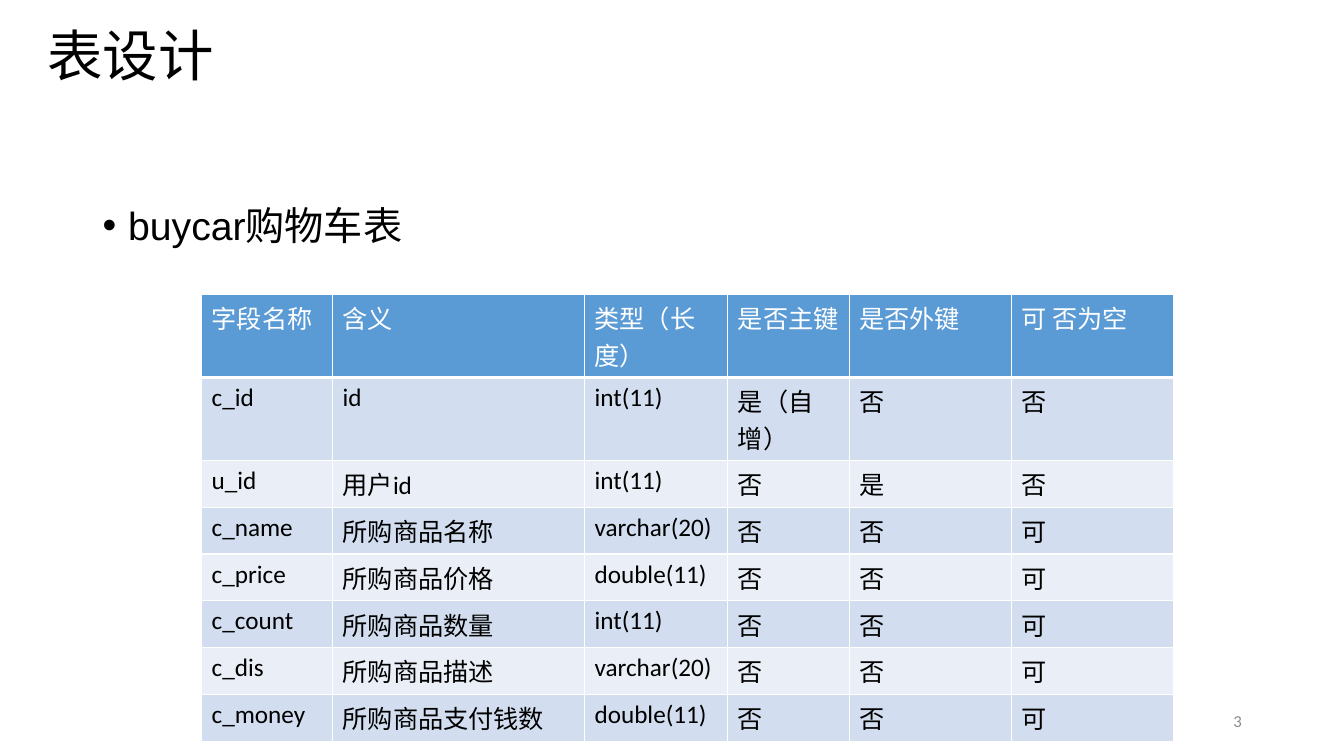
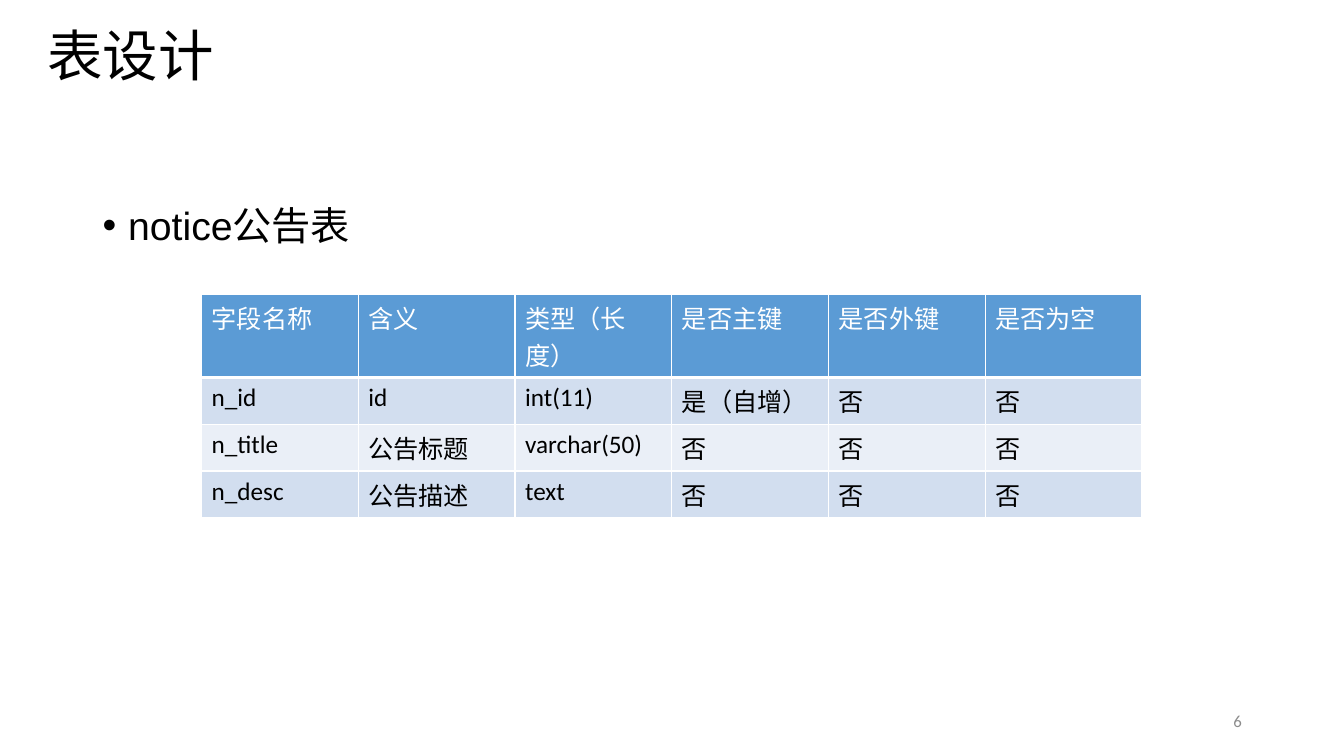
from lxml import etree
from pptx import Presentation
from pptx.dml.color import RGBColor
from pptx.enum.text import MSO_ANCHOR, PP_ALIGN
from pptx.oxml.ns import qn
from pptx.util import Cm, Pt

MIDDLE, TOP = MSO_ANCHOR.MIDDLE, MSO_ANCHOR.TOP
LEFT, RIGHT = PP_ALIGN.LEFT, PP_ALIGN.RIGHT

WHITE, BLACK, GREY = "FFFFFF", "000000", "8C8C8C"
HEADER_BLUE = "5B9BD5"
BANDS = ("D2DEEF", "EAEFF7")
BLANK_LAYOUT = 6
INDENT = Cm(0.64)

TITLE = {
    "box": (0.94, 0.71, 29.21, 1.52),
    "frame": {"word_wrap": True, "vertical_anchor": MIDDLE},
    "paragraph": {"alignment": LEFT, "line_spacing": 0.9},
    "font": {"name": "Calibri", "size": Pt(39.6)},
    "colour": BLACK,
}
CAPTION = {
    "box": (2.34, 5.08, 29.21, 12.09),
    "frame": {"word_wrap": True, "vertical_anchor": TOP},
    "paragraph": {"alignment": LEFT, "line_spacing": 0.9, "space_before": Pt(10)},
    "font": {"name": "Arial", "size": Pt(28)},
    "colour": BLACK,
}
PAGE_NUMBER = {
    "box": (23.93, 17.65, 7.62, 1.02),
    "frame": {"word_wrap": True, "vertical_anchor": MIDDLE},
    "paragraph": {"alignment": RIGHT},
    "font": {"name": "Calibri", "size": Pt(12)},
    "colour": GREY,
}
CELL_FONT = {"name": "Calibri", "size": Pt(18), "bold": False}

HEADINGS = ["字段名称", "含义", "类型（长度）", "是否主键", "是否外键"]
TABLE_LEFT, TABLE_TOP = 5.08, 7.42
ONE_LINE, TWO_LINES = 1.18, 2.09

DESIGNS = [
    {
        "page": "3",
        "caption": "buycar购物车表",
        "widths": [3.3, 6.35, 3.61, 3.06, 4.09, 4.08],
        "heights": [TWO_LINES] * 2 + [ONE_LINE] * 6,
        "rows": [
            HEADINGS + ["可 否为空"],
            ["c_id", "id", "int(11)", "是（自增）", "否", "否"],
            ["u_id", "用户id", "int(11)", "否", "是", "否"],
            ["c_name", "所购商品名称", "varchar(20)", "否", "否", "可"],
            ["c_price", "所购商品价格", "double(11)", "否", "否", "可"],
            ["c_count", "所购商品数量", "int(11)", "否", "否", "可"],
            ["c_dis", "所购商品描述", "varchar(20)", "否", "否", "可"],
            ["c_money", "所购商品支付钱数", "double(11)", "否", "否", "可"],
        ],
    },
    {
        "page": "6",
        "caption": "notice公告表",
        "widths": [3.95] * 6,
        "heights": [TWO_LINES] + [ONE_LINE] * 3,
        "rows": [
            HEADINGS + ["是否为空"],
            ["n_id", "id", "int(11)", "是（自增）", "否", "否"],
            ["n_title", "公告标题", "varchar(50)", "否", "否", "否"],
            ["n_desc", "公告描述", "text", "否", "否", "否"],
        ],
    },
]


def rgb(value):
    """Turn a hex string into a colour."""
    return RGBColor.from_string(value)


def apply_format(target, values):
    """Set each attribute named in values on target."""
    for name, value in values.items():
        setattr(target, name, value)


def write(paragraph, text, font, colour):
    """Put one formatted run into a paragraph."""
    run = paragraph.add_run()
    run.text = text
    apply_format(run.font, font)
    run.font.color.rgb = rgb(colour)


def add_text(slide, text, style):
    """Add a one-paragraph text box in a style and return the paragraph."""
    frame = slide.shapes.add_textbox(*map(Cm, style["box"])).text_frame
    apply_format(frame, style["frame"])
    paragraph = frame.paragraphs[0]
    apply_format(paragraph, style["paragraph"])
    write(paragraph, text, style["font"], style["colour"])
    return paragraph


def add_bullet(paragraph):
    """Give a paragraph a round bullet with a hanging indent."""
    properties = paragraph._p.get_or_add_pPr()
    properties.set("marL", str(INDENT))
    properties.set("indent", str(-INDENT))
    etree.SubElement(properties, qn("a:buFont"), typeface="Arial")
    etree.SubElement(properties, qn("a:buChar"), char="•")


def add_borders(cell, bottom):
    """Draw white cell borders, 1 pt wide except for the bottom one."""
    properties = cell._tc.get_or_add_tcPr()
    for side, width in {"lnL": 1, "lnR": 1, "lnT": 1, "lnB": bottom}.items():
        line = etree.SubElement(properties, qn("a:" + side), w=str(Pt(width)))
        fill = etree.SubElement(line, qn("a:solidFill"))
        etree.SubElement(fill, qn("a:srgbClr"), val=WHITE)


def add_field_table(slide, rows, widths, heights):
    """Add the field table with a blue header and banded rows."""
    table = slide.shapes.add_table(
        len(rows), len(widths), Cm(TABLE_LEFT), Cm(TABLE_TOP),
        Cm(sum(widths)), Cm(sum(heights))).table
    for column, width in zip(table.columns, widths):
        column.width = Cm(width)
    for row, height in zip(table.rows, heights):
        row.height = Cm(height)
    for r, texts in enumerate(rows):
        is_header = r == 0
        background = HEADER_BLUE if is_header else BANDS[(r - 1) % 2]
        for c, text in enumerate(texts):
            cell = table.cell(r, c)
            add_borders(cell, 3 if is_header else 1)
            cell.fill.solid()
            cell.fill.fore_color.rgb = rgb(background)
            write(cell.text_frame.paragraphs[0], text, CELL_FONT,
                  WHITE if is_header else BLACK)


def main():
    """Build one slide for each table design."""
    deck = Presentation()
    apply_format(deck, {"slide_width": Cm(33.87), "slide_height": Cm(19.05)})
    for design in DESIGNS:
        slide = deck.slides.add_slide(deck.slide_layouts[BLANK_LAYOUT])
        add_text(slide, "表设计", TITLE)
        add_bullet(add_text(slide, design["caption"], CAPTION))
        add_text(slide, design["page"], PAGE_NUMBER)
        add_field_table(slide, design["rows"], design["widths"], design["heights"])
    deck.save("out.pptx")


main()
